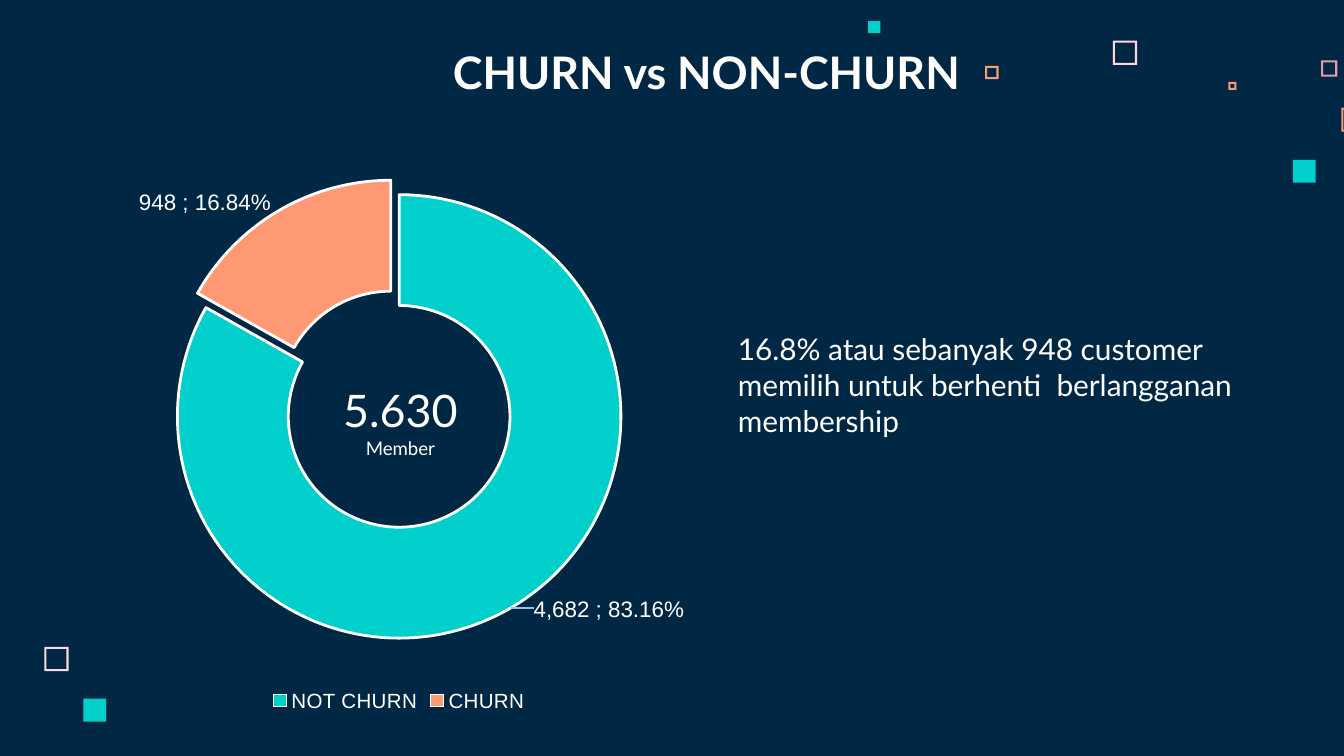
"""Build the churn versus non-churn slide with its doughnut chart."""
from copy import deepcopy

from lxml import etree
from pptx import Presentation
from pptx import util as u
from pptx.chart import data as chart_data
from pptx.dml import color
from pptx.enum import chart as charts, shapes, text
from pptx.oxml import ns

NAVY, WHITE, TEAL, ORANGE = "002845", "FFFFFF", "00CFCC", "FF9973"
PINK, ROSE, SKY = "FFD6E1", "E898AC", "8FC3EB"
WIDTH = u.Inches(10)
HEIGHT = WIDTH * 9 // 16

# Places are percentages of the slide: left, top, width, height.
HEADING = ("CHURN vs NON-CHURN", (32.7, 4.98, 42.3, 8.89))
FINDING = (
    "16.8% atau sebanyak 948 customer memilih untuk berhenti  berlangganan membership",
    (53.9, 42.84, 41.2, 16.18),
)
TOTAL = ([("5.630", 24), ("Member", 10)], (24.3, 49.78, 11, 11.91))
DOUGHNUT_PLACE = (7.4, 21.16, 44.6, 73.78)

# Group, members, fill colour, explosion, label shift as shares of the chart.
GROUPS = [
    ("NOT CHURN", 4682, TEAL, 0, (0.21, 0.09)),
    ("CHURN", 948, ORANGE, 15, (-0.17, -0.1)),
]
PLOT_AREA = {"x": 0.13, "y": 0.06, "w": 0.74, "h": 0.8}

# Left, top, side (share of the width), colour, hollow.
SQUARES = [
    (82.8, 5.38, 1.8, PINK, True),
    (98.3, 8, 1.2, ROSE, True),
    (91.4, 10.84, 0.6, ORANGE, True),
    (99.8, 14.22, 1.8, ORANGE, True),
    (96.2, 21.16, 1.7, TEAL, False),
    (73.3, 8.71, 1, ORANGE, True),
    (64.6, 2.8, 0.9, TEAL, False),
    (3.3, 85.58, 1.8, PINK, True),
    (6.2, 92.44, 1.7, TEAL, False),
]
EDGE = 0.15


def rgb(value):
    return color.RGBColor.from_string(value)


def apply(target, **values):
    for name, value in values.items():
        setattr(target, name, value)


def write(font, size, name="Lato", bold=False):
    apply(font, size=u.Pt(size), name=name, bold=bold)
    font.color.rgb = rgb(WHITE)


def paint(fill, value):
    fill.solid()
    fill.fore_color.rgb = rgb(value)


def box(place):
    left, top, width, height = (share / 100 for share in place)
    return [int(n) for n in (WIDTH * left, HEIGHT * top, WIDTH * width, HEIGHT * height)]


def put(holder, place):
    apply(holder, **dict(zip(("left", "top", "width", "height"), box(place))))
    apply(holder.text_frame, word_wrap=True, vertical_anchor=text.MSO_ANCHOR.TOP,
          auto_size=text.MSO_AUTO_SIZE.SHAPE_TO_FIT_TEXT)
    return holder.text_frame.paragraphs[0]


def add(parent, tag, value=None):
    child = etree.SubElement(parent, ns.qn(tag))
    if value is not None:
        child.set("val", str(value))
    return child


def manual_layout(values, inner=False):
    layout = etree.Element(ns.qn("c:layout"))
    manual = add(layout, "c:manualLayout")
    if inner:
        add(manual, "c:layoutTarget", "inner")
        add(manual, "c:xMode", "edge")
        add(manual, "c:yMode", "edge")
    for name, value in values.items():
        add(manual, f"c:{name}", value)
    return layout


def draw_squares(slide):
    kinds = {True: shapes.MSO_SHAPE.FRAME, False: shapes.MSO_SHAPE.RECTANGLE}
    for left, top, side, fill, hollow in SQUARES:
        x, y, edge, _ = box((left, top, side, 0))
        square = slide.shapes.add_shape(kinds[hollow], x, y, edge, edge)
        square.shadow.inherit = False
        paint(square.fill, fill)
        square.line.fill.background()
        if hollow:
            square.adjustments[0] = EDGE / side


def draw_doughnut(slide):
    members = chart_data.CategoryChartData(number_format="#,##0 ")
    members.categories = [group[0] for group in GROUPS]
    members.add_series("Series 1", [group[1] for group in GROUPS])
    chart = slide.shapes.add_chart(
        charts.XL_CHART_TYPE.DOUGHNUT, *box(DOUGHNUT_PLACE), members).chart
    apply(chart, has_title=False, has_legend=True)
    write(chart.font, 10, "Arial")
    apply(chart.legend, position=charts.XL_LEGEND_POSITION.BOTTOM, include_in_layout=False)
    write(chart.legend.font, 11, "Arial")

    plot = chart.plots[0]
    plot.vary_by_categories = True
    ring = plot.series[0]
    labels = ring.data_labels
    apply(labels, show_value=True, show_percentage=True,
          number_format="0.00%", number_format_is_linked=False)
    write(labels.font, 12, "Arial")
    root = labels._element
    separator = etree.Element(ns.qn("c:separator"))
    separator.text = "; "
    root.find(ns.qn("c:showBubbleSize")).addnext(separator)
    leader_tags = (ns.qn("c:showLeaderLines"), ns.qn("c:leaderLines"))
    shared = [child for child in root if child.tag not in leader_tags]
    for child in root.findall(leader_tags[0]):
        root.remove(child)
    add(root, "c:showLeaderLines", 1)
    outline = add(add(add(root, "c:leaderLines"), "c:spPr"), "a:ln")
    outline.set("w", str(u.Pt(1)))
    add(add(outline, "a:solidFill"), "a:srgbClr", SKY)

    for index, (_, _, fill, explosion, shift) in enumerate(GROUPS):
        point = ring.points[index]
        paint(point.format.fill, fill)
        paint(point.format.line.fill, WHITE)
        point.format.line.width = u.Pt(1.5)
        slice_xml = ring._element.findall(ns.qn("c:dPt"))[index]
        burst = etree.Element(ns.qn("c:explosion"), val=str(explosion))
        slice_xml.find(ns.qn("c:spPr")).addprevious(burst)

        label = etree.Element(ns.qn("c:dLbl"))
        add(label, "c:idx", index)
        label.append(manual_layout(dict(zip("xy", shift))))
        label.extend(deepcopy(child) for child in shared)
        root.insert(index, label)

    plot._element.find(ns.qn("c:holeSize")).set("val", "62")
    area = plot._element.getparent()
    for layout in area.findall(ns.qn("c:layout")):
        area.remove(layout)
    area.insert(0, manual_layout(PLOT_AREA, inner=True))


def main():
    deck = Presentation()
    apply(deck, slide_width=WIDTH, slide_height=HEIGHT)
    slide = deck.slides.add_slide(deck.slide_layouts[1])
    paint(slide.background.fill, NAVY)
    draw_squares(slide)

    title, body = slide.placeholders
    for holder, (words, place), size in ((title, HEADING, 24), (body, FINDING, 16)):
        line = put(holder, place)
        properties = line._p.get_or_add_pPr()
        apply(line, alignment=text.PP_ALIGN.LEFT, space_before=u.Pt(0))
        for name in ("marL", "indent"):
            properties.set(name, "0")
        add(properties, "a:buNone")
        run = line.add_run()
        run.text = words
        write(run.font, size, bold=holder is title)

    draw_doughnut(slide)

    lines, place = TOTAL
    center = put(slide.shapes.add_textbox(*box(place)), place)
    center.alignment = text.PP_ALIGN.CENTER
    for index, (words, size) in enumerate(lines):
        if index:
            center.add_line_break()
        run = center.add_run()
        run.text = words
        write(run.font, size)
    deck.save("out.pptx")


if __name__ == "__main__":
    main()
